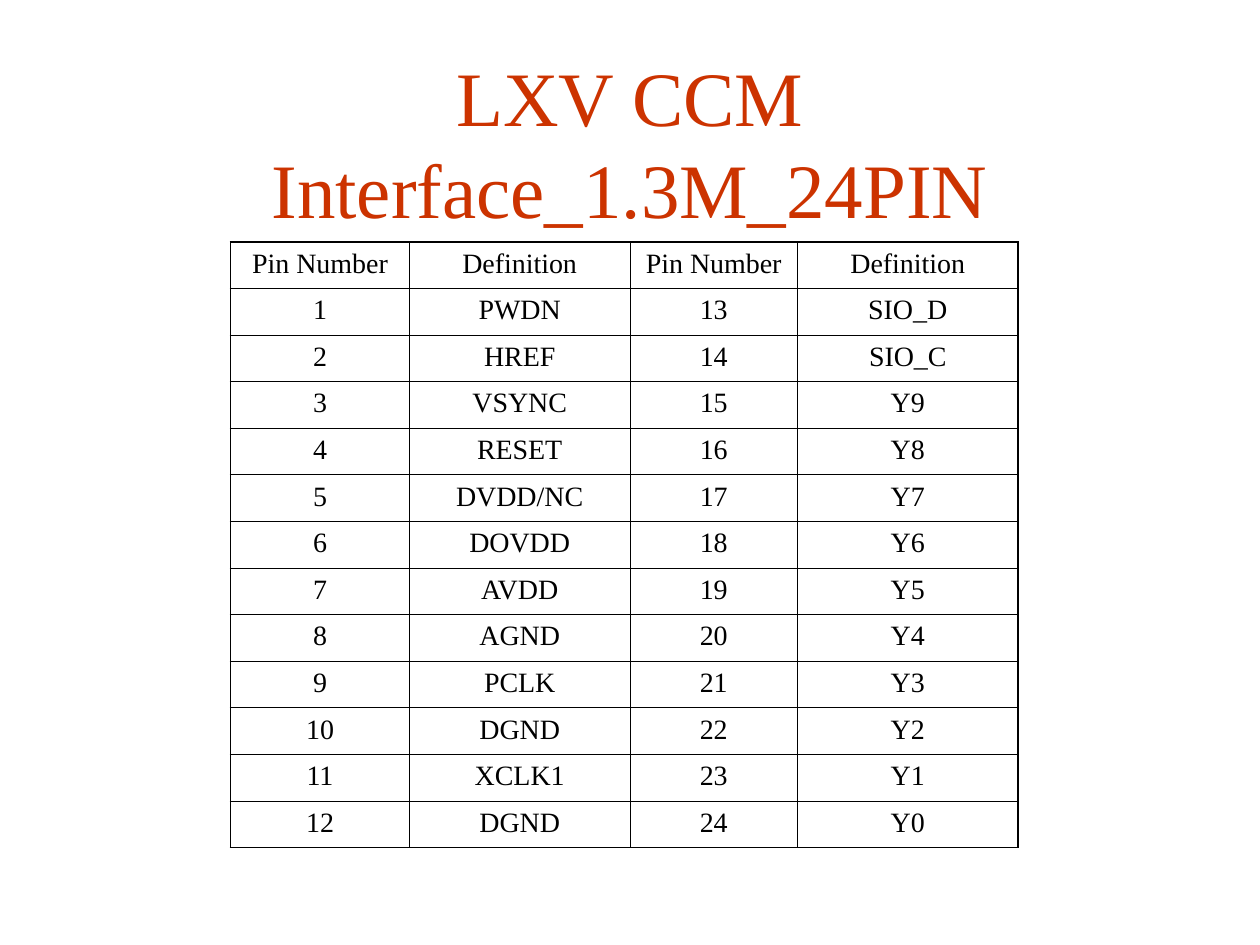
from dataclasses import dataclass
from typing import Any

from lxml.etree import SubElement
from pptx import Presentation
from pptx.dml.color import RGBColor
from pptx.enum.text import MSO_ANCHOR as Anchor, PP_ALIGN as Align
from pptx.oxml.ns import qn
from pptx.util import Inches, Pt

RED = RGBColor(0xCC, 0x33, 0x00)
BLACK = RGBColor(0x00, 0x00, 0x00)

WIDTH, HEIGHT = Inches(10), Inches(7.5)
HEADINGS = ["Pin Number", "Definition"]
SIGNALS = [
    "PWDN", "HREF", "VSYNC", "RESET", "DVDD/NC", "DOVDD",
    "AVDD", "AGND", "PCLK", "DGND", "XCLK1", "DGND",
    "SIO_D", "SIO_C", "Y9", "Y8", "Y7", "Y6",
    "Y5", "Y4", "Y3", "Y2", "Y1", "Y0",
]


@dataclass
class PinoutPage:
    page: Any
    font: str = "Times New Roman"
    title_size: float = 44
    cell_size: float = 16
    inner_line: float = 0.45
    outer_line: float = 1.08

    def style(self, para, size, color):
        para.alignment = Align.CENTER
        para.font.name = self.font
        para.font.size = Pt(size)
        para.font.color.rgb = color

    def title(self, text, left, top, width, height):
        box = self.page.shapes.add_textbox(
            int(left * WIDTH), int(top * HEIGHT), int(width * WIDTH), int(height * HEIGHT))
        frame = box.text_frame
        frame.word_wrap = True
        frame.vertical_anchor = Anchor.MIDDLE
        frame.text = text
        self.style(frame.paragraphs[0], self.title_size, RED)

    def borders(self, cell, outer_sides):
        properties = cell._tc.get_or_add_tcPr()
        for side in "LRTB":
            weight = self.outer_line if side in outer_sides else self.inner_line
            line = SubElement(properties, qn(f"a:ln{side}"), w=str(Pt(weight)))
            fill = SubElement(line, qn("a:solidFill"))
            SubElement(fill, qn("a:srgbClr"), val=str(BLACK))

    def table(self, rows, left, top, column_widths, row_height):
        frame = self.page.shapes.add_table(
            len(rows), len(column_widths), int(left * WIDTH), int(top * HEIGHT),
            Inches(sum(column_widths)), Inches(row_height * len(rows)))
        grid = frame.table
        grid.first_row = grid.horz_banding = False
        for column, width in zip(grid.columns, column_widths):
            column.width = Inches(width)
        last_row, last_column = len(rows) - 1, len(column_widths) - 1
        for r, values in enumerate(rows):
            grid.rows[r].height = Inches(row_height)
            for c, value in enumerate(values):
                edges = {"L": c == 0, "R": c == last_column, "T": r == 0, "B": r == last_row}
                cell = grid.cell(r, c)
                cell.text = str(value)
                para = cell.text_frame.paragraphs[0]
                self.style(para, self.cell_size, BLACK)
                para.space_before = Pt(4)
                self.borders(cell, [side for side, outer in edges.items() if outer])
                cell.fill.background()


def main():
    deck = Presentation()
    deck.slide_width, deck.slide_height = WIDTH, HEIGHT
    pinout = PinoutPage(deck.slides.add_slide(deck.slide_layouts[6]))
    pinout.title("LXV CCM Interface_1.3M_24PIN", 0.075, 1 / 15, 0.85, 1 / 6)

    half = len(SIGNALS) // 2
    pins = list(enumerate(SIGNALS, 1))
    rows = [HEADINGS * 2] + [a + b for a, b in zip(pins[:half], pins[half:])]
    pinout.table(rows, 0.183, 0.256, [1.42, 1.75, 1.33, 1.75], 0.37)
    deck.save("out.pptx")


if __name__ == "__main__":
    main()
